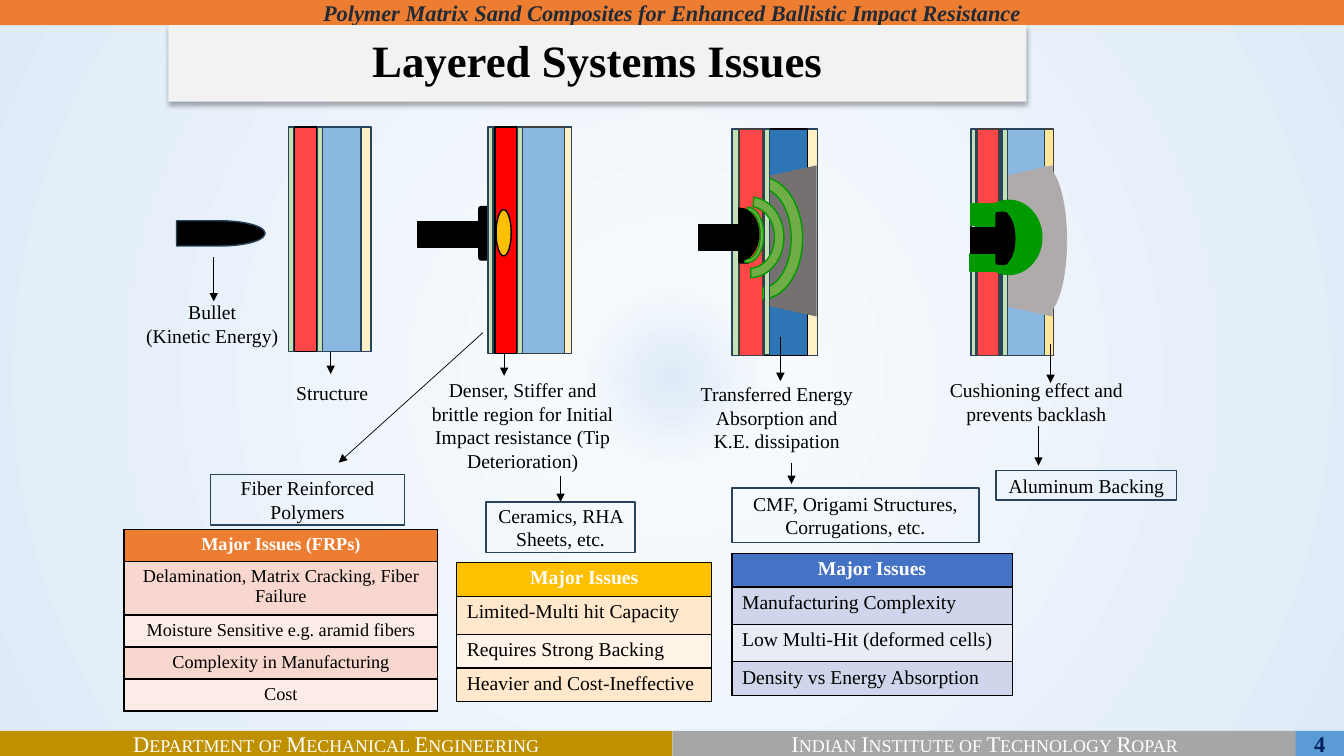
from pptx import Presentation
from pptx.dml.color import RGBColor
from pptx.enum.shapes import MSO_CONNECTOR, MSO_SHAPE as S
from pptx.enum.text import MSO_ANCHOR, PP_ALIGN
from pptx.oxml import parse_xml
from pptx.oxml.ns import nsdecls, qn
from pptx.util import Inches, Pt

rgb = RGBColor.from_string
A = nsdecls("a")
BLACK, WHITE, NAVY, GREY = "000000", "FFFFFF", "28445D", "404040"
RED, SKY, CREAM, MINT = "FF4747", "8BB8E1", "FFF1C5", "C5E0B4"
LEAF, GREEN = "70AD47", "009900"

prs = Presentation()
prs.slide_width, prs.slide_height = Inches(13.33), Inches(7.5)
slide = prs.slides.add_slide(prs.slide_layouts[6])
shapes = slide.shapes


def write(frame, text, size=14, color=BLACK, bold=False, italic=False, align=PP_ALIGN.CENTER):
    frame.text = text
    frame.word_wrap = True
    for paragraph in frame.paragraphs:
        paragraph.alignment = align
        font = paragraph.font
        font.name, font.size = "Times New Roman", Pt(size)
        font.bold, font.italic = bold, italic
        font.color.rgb = rgb(color)


def draw(kind, at, fill=None, line=None, rotation=0, adjustments=(), width=1):
    shape = shapes.add_shape(kind, *map(Inches, at))
    shape.shadow.inherit = False
    shape.rotation = rotation
    for i, value in enumerate(adjustments):
        shape.adjustments[i] = value
    if fill:
        shape.fill.solid()
        shape.fill.fore_color.rgb = rgb(fill)
    else:
        shape.fill.background()
    if line:
        shape.line.color.rgb = rgb(line)
        shape.line.width = Pt(width)
    else:
        shape.line.fill.background()
    return shape


# Background: radial gradient
slide.background.fill.solid()
background = slide._element.find(".//" + qn("p:bgPr"))
stops = "".join(
    f'<a:gs pos="{position}"><a:srgbClr val="{color}"/></a:gs>'
    for position, color in [(0, "DEEBF7"), (13000, "F7FAFD"), (100000, "DEEBF7")])
background.replace(background[0], parse_xml(
    f'<a:gradFill {A} rotWithShape="1"><a:gsLst>{stops}</a:gsLst><a:path path="circle">'
    '<a:fillToRect l="50000" t="50000" r="50000" b="50000"/></a:path></a:gradFill>'))

# Header and footer bars
header = draw(S.RECTANGLE, (0, 0, 13.33, 0.25), "ED7D31")
write(header.text_frame, "Polymer Matrix Sand Composites for Enhanced Ballistic Impact Resistance",
      16, "222A35", bold=True, italic=True)
for left, width, fill, text in [
        (0, 6.67, "BF9000", "Department of Mechanical Engineering"),
        (6.67, 6.19, "A6A6A6", "Indian Institute of Technology Ropar")]:
    footer = draw(S.RECTANGLE, (left, 7.25, width, 0.25), fill)
    write(footer.text_frame, text, 16, WHITE)
    footer.text_frame.paragraphs[0]._p.pPr.find(qn("a:defRPr")).set("cap", "small")
page_number = draw(S.RECTANGLE, (12.85, 7.25, 0.48, 0.25), "5B9BD5")
write(page_number.text_frame, "4", 16, "002060", bold=True)

# Title
title = draw(S.RECTANGLE, (1.67, 0.25, 8.51, 0.76), "F2F2F2")
write(title.text_frame, "Layered Systems Issues", 32, bold=True)
title.text_frame.paragraphs[0].line_spacing = 0.9
title._element.spPr.find(qn("a:effectLst")).append(parse_xml(
    f'<a:outerShdw {A} blurRad="{Pt(3.5)}" dist="{Pt(2.2)}" dir="5400000" algn="t" rotWithShape="0">'
    '<a:srgbClr val="000000"><a:alpha val="32000"/></a:srgbClr></a:outerShdw>'))

# Bullet before and at impact
draw(S.FLOWCHART_DELAY, (1.75, 2.19, 0.88, 0.25), BLACK, NAVY)
draw(S.RECTANGLE, (4.14, 2.2, 0.61, 0.25), BLACK, BLACK)
draw(S.FLOWCHART_ALTERNATE_PROCESS, (4.75, 2.05, 0.14, 0.53), BLACK, BLACK)

# Layers of the four panels: left, width, fill, line
panels = [
    (1.26, 2.23, [(2.92, 0.76, CREAM, NAVY), (2.92, 0.22, RED, BLACK), (3.15, 0.43, SKY, NAVY),
                  (2.86, 0.05, MINT, NAVY), (3.15, 0.05, MINT, NAVY)]),
    (1.26, 2.25, [(4.84, 0.05, MINT, NAVY), (4.9, 0.77, CREAM, NAVY), (4.91, 0.22, "FE0000", BLACK),
                  (5.14, 0.46, SKY, GREY), (5.13, 0.05, MINT, NAVY)]),
    (1.28, 2.25, [(7.26, 0.07, MINT, NAVY), (7.34, 0.77, CREAM, NAVY), (7.33, 0.24, RED, GREY),
                  (7.58, 0.43, "2E75B6", BLACK)]),
    (1.28, 2.25, [(9.68, 0.77, "FFE699", GREY), (9.69, 0.22, RED, GREY), (9.93, 0.43, SKY, NAVY),
                  (9.63, 0.05, MINT, NAVY)]),
]
for top, height, layers in panels:
    for left, width, fill, line in layers:
        draw(S.RECTANGLE, (left, top, width, height), fill, line)

# Initial impact
draw(S.OVAL, (4.92, 2.08, 0.15, 0.46), "FFC000", BLACK)

# Energy absorption: bullet tip, deformed core and waves
wave = (111.22, 215.41, 0.14)
draw(S.RECTANGLE, (6.93, 2.23, 0.39, 0.25), BLACK, BLACK)
draw(S.FLOWCHART_ALTERNATE_PROCESS, (7.33, 2.08, 0.1, 0.53), BLACK, BLACK)
draw(S.BLOCK_ARC, (7.14, 2.17, 0.55, 0.32), LEAF, GREEN, 90, (108, 3.77, 0.11))
draw(S.BLOCK_ARC, (7.07, 2.13, 0.52, 0.39), BLACK, BLACK, 90, (107.63, 0, 0.25))
draw(S.TRAPEZOID, (7.1, 2.14, 1.5, 0.5), "767171", None, 270, (0.22,))
draw(S.BLOCK_ARC, (6.95, 1.96, 1.21, 0.81), LEAF, GREEN, 90, wave)
draw(S.RECTANGLE, (7.58, 1.28, 0.05, 2.24), MINT, NAVY)
draw(S.BLOCK_ARC, (7.04, 2.02, 0.8, 0.67), LEAF, GREEN, 90, wave)

# Cushioning: bulging backing and stopped bullet
draw(S.TRAPEZOID, (9.44, 2.14, 1.5, 0.5), "AFABAB", None, 270, (0.22,))
draw(S.ARC, (10.13, 1.65, 0.45, 1.47), "AFABAB", "AFABAB", 0, (162, 53.76), 0.5)
draw(S.RECTANGLE, (9.63, 2.02, 0.25, 0.22), GREEN, GREEN)
draw(S.RECTANGLE, (9.62, 2.52, 0.26, 0.17), GREEN, GREEN)
draw(S.RECTANGLE, (9.94, 1.28, 0.05, 2.25), MINT, NAVY)
draw(S.OVAL, (9.67, 1.98, 0.67, 0.75), GREEN)
draw(S.RECTANGLE, (9.63, 2.26, 0.25, 0.25), BLACK, BLACK)
draw(S.FLOWCHART_ALTERNATE_PROCESS, (9.88, 2.11, 0.11, 0.51), BLACK, BLACK)
draw(S.BLOCK_ARC, (9.68, 2.24, 0.52, 0.25), BLACK, BLACK, 90, (102.43, 0, 0.25))

# Captions
for at, caption in [
        ((1.2, 2.93, 1.81, 0.57), "Bullet\n(Kinetic Energy)"),
        ((2.39, 3.73, 1.81, 0.34), "Structure"),
        ((4.17, 3.7, 2.03, 1.04),
         "Denser, Stiffer and brittle region for Initial Impact resistance (Tip Deterioration)"),
        ((6.84, 3.74, 1.73, 0.81), "Transferred Energy Absorption and K.E. dissipation"),
        ((9.31, 3.7, 1.94, 0.57), "Cushioning effect and prevents backlash")]:
    write(shapes.add_textbox(*map(Inches, at)).text_frame, caption)

# Material boxes
for at, material in [
        ((2.09, 4.71, 1.92, 0.5), "Fiber Reinforced Polymers"),
        ((4.82, 4.98, 1.48, 0.5), "Ceramics, RHA Sheets, etc."),
        ((7.26, 4.84, 2.45, 0.54), "CMF, Origami Structures, Corrugations, etc."),
        ((9.88, 4.67, 1.79, 0.29), "Aluminum Backing")]:
    box = draw(S.RECTANGLE, at, None, NAVY)
    box.text_frame.vertical_anchor = MSO_ANCHOR.MIDDLE
    write(box.text_frame, material)

# Arrows: start, end, behind the layers
for start, end, behind in [
        ((2.12, 2.55), (2.12, 2.99), False),
        ((3.28, 3.28), (3.28, 3.71), True),
        ((5, 3.3), (5, 3.73), True),
        ((4.79, 3.3), (3.36, 4.59), False),
        ((5.56, 4.72), (5.56, 4.98), False),
        ((7.74, 3.34), (7.74, 3.78), False),
        ((7.85, 4.59), (7.85, 4.8), False),
        ((10.42, 3.41), (10.42, 3.8), False),
        ((10.3, 4.23), (10.3, 4.62), False)]:
    arrow = shapes.add_connector(MSO_CONNECTOR.STRAIGHT, *map(Inches, start + end))
    arrow.line.color.rgb = rgb(BLACK)
    arrow.line.width = Pt(0.5)
    arrow.line._get_or_add_ln().append(parse_xml(f'<a:tailEnd {A} type="triangle"/>'))
    arrow._element.spPr.append(parse_xml(f"<a:effectLst {A}/>"))
    if behind:
        shapes._spTree.insert(2, arrow._element)

# Issue tables: place, row heights, text size, alignment, head and band fills, rows
for at, heights, size, align, fills, issues in [
        ((1.23, 5.25, 3.11, 1.55), [0.27, 0.47, 0.27, 0.27, 0.27], 13, PP_ALIGN.CENTER,
         ("ED7D31", "F8D7CE", "FCECE8"),
         ["Major Issues (FRPs)", "Delamination, Matrix Cracking, Fiber Failure",
          "Moisture Sensitive e.g. aramid fibers", "Complexity in Manufacturing", "Cost"]),
        ((4.53, 5.58, 2.53, 1.33), [0.32, 0.38, 0.32, 0.31], 14, PP_ALIGN.LEFT,
         ("FFC000", "FFE8CC", "FFF4E7"),
         ["Major Issues", "Limited-Multi hit Capacity", "Requires Strong Backing",
          "Heavier and Cost-Ineffective"]),
        ((7.26, 5.49, 2.78, 1.35), [0.29, 0.37, 0.37, 0.32], 14, PP_ALIGN.LEFT,
         ("4472C4", "CFD5EA", "E9EBF5"),
         ["Major Issues", "Manufacturing Complexity", "Low Multi-Hit (deformed cells)",
          "Density vs Energy Absorption"])]:
    table = shapes.add_table(len(issues), 1, *map(Inches, at)).table
    for row, (height, issue) in enumerate(zip(heights, issues)):
        table.rows[row].height = Inches(height)
        cell = table.cell(row, 0)
        for side in "LRTB":
            cell._tc.get_or_add_tcPr().append(parse_xml(
                f'<a:ln{side} {A} w="{Pt(1)}"><a:solidFill><a:srgbClr val="{BLACK}"/>'
                f'</a:solidFill></a:ln{side}>'))
        is_head = row == 0
        cell.fill.solid()
        cell.fill.fore_color.rgb = rgb(fills[0] if is_head else fills[2 - row % 2])
        write(cell.text_frame, issue, size, WHITE if is_head else BLACK, bold=is_head,
              align=PP_ALIGN.CENTER if is_head else align)

prs.save("out.pptx")
